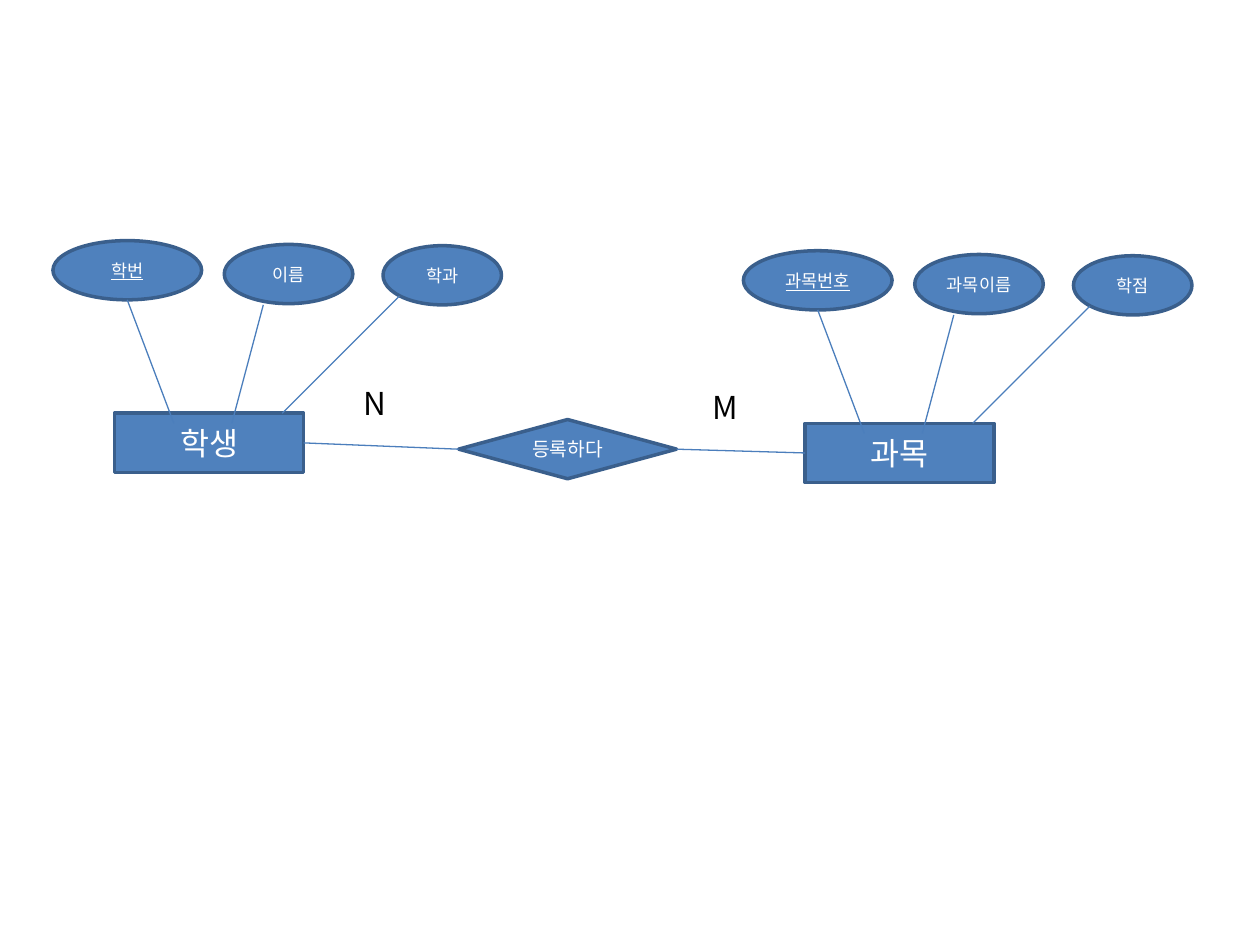
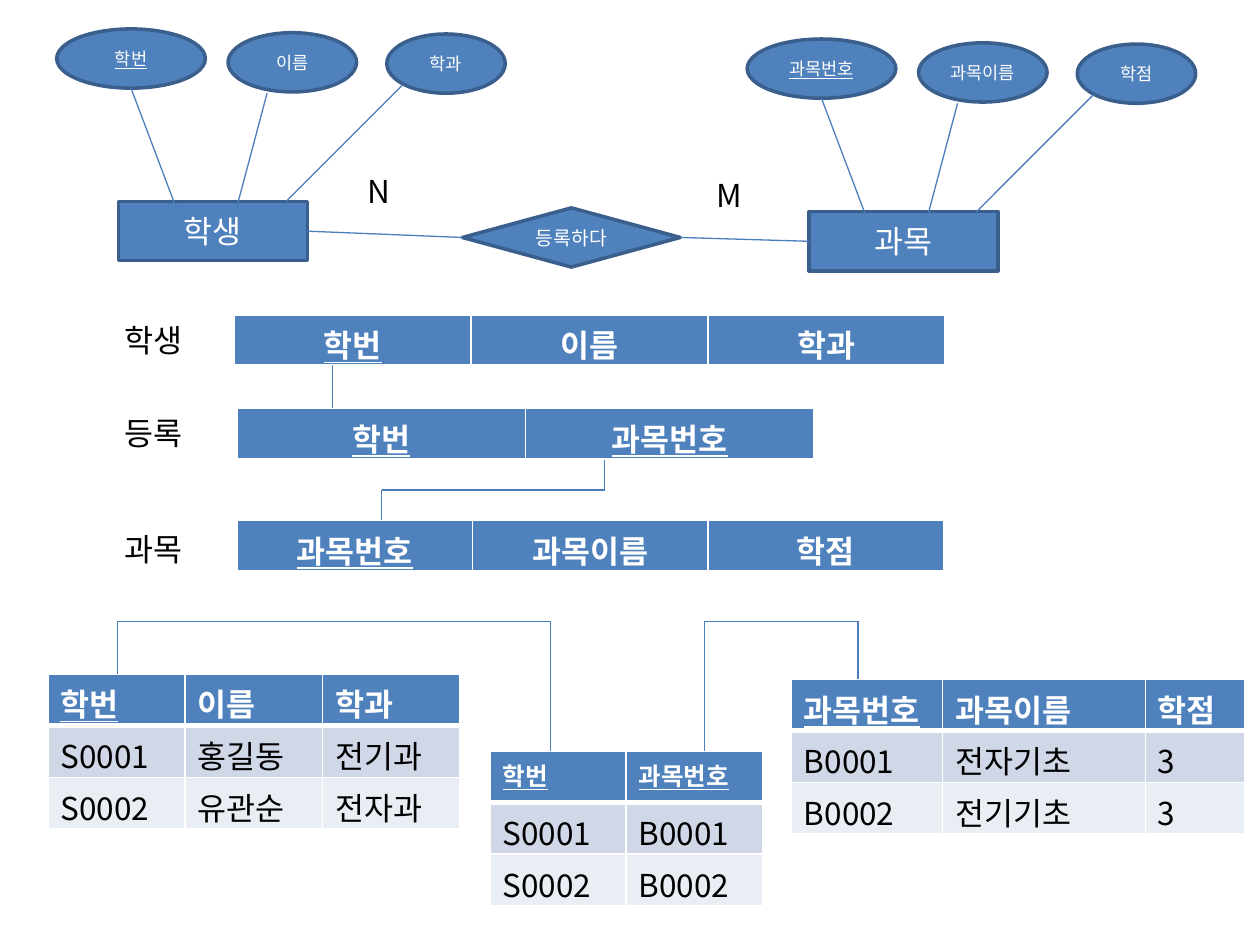
from lxml.etree import SubElement, Element
from pptx import Presentation
from pptx.dml.color import RGBColor
from pptx.enum.shapes import MSO_CONNECTOR, MSO_SHAPE
from pptx.enum.text import MSO_ANCHOR, MSO_AUTO_SIZE, PP_ALIGN
from pptx.oxml.ns import qn
from pptx.util import Inches, Pt

FONT = "Noto Sans CJK KR"
BLUE, OUTLINE, LINK = "4F81BD", "3A5F8C", "4B7EBC"
WHITE, BLACK = "FFFFFF", "000000"
BANDS = ["D0D8E8", "E9EDF4"]
KEYS = {"학번", "과목번호"}

ENTITIES = [
    ("학생", (0.91, 3.28), ["학번", "이름", "학과"]),
    ("과목", (6.39, 3.36), ["과목번호", "과목이름", "학점"]),
]
ENTITY_SIZE = (1.5, 0.47)
ATTRIBUTE_PLACES = [
    {"offset": (-0.49, -1.37), "width": 1.18, "link": ((0.1, -0.9), (0.47, 0.08))},
    {"offset": (0.87, -1.34), "width": 1.02, "link": ((1.18, -0.86), (0.93, 0.08))},
    {"offset": (2.13, -1.33), "width": 0.94, "link": ((2.26, -0.93), (1.33, 0))},
]
RELATIONSHIP = ("등록하다", (3.64, 3.33), (1.73, 0.47))
CARDINALITIES = [("N", (2.79, 3.0)), ("M", (5.56, 3.03))]
DIAGRAM_SHIFTS = [(0, 0), (0.03, -1.68)]

SCHEMAS = [
    ("학생", 2.5, (1.86, 2.5), [1.88] * 3, ["학번", "이름", "학과"]),
    ("등록", 3.24, (1.88, 3.24), [2.29] * 2, ["학번", "과목번호"]),
    ("과목", 4.16, (1.88, 4.13), [1.87] * 3, ["과목번호", "과목이름", "학점"]),
]
RECORDS = [
    ((0.38, 5.35), [1.09] * 3, 18,
     [["학번", "이름", "학과"], ["S0001", "홍길동", "전기과"], ["S0002", "유관순", "전자과"]]),
    ((6.28, 5.39), [1.2, 1.61, 0.79], 18,
     [["과목번호", "과목이름", "학점"], ["B0001", "전자기초", "3"], ["B0002", "전기기초", "3"]]),
    ((3.89, 5.96), [1.08] * 2, 14,
     [["학번", "과목번호"], ["S0001", "B0001"], ["S0002", "B0002"]]),
]
ROW_HEIGHT = 0.41
KEY_PATHS = [
    [(2.64, 2.9), (2.64, 3.24)],
    [(4.8, 3.65), (4.8, 3.89), (3.03, 3.89), (3.03, 4.13)],
    [(0.93, 5.35), (0.93, 4.93), (4.37, 4.93), (4.37, 5.96)],
    [(5.59, 5.96), (5.59, 4.93), (6.81, 4.93), (6.81, 5.39)],
]


def color(value):
    return RGBColor.from_string(value)


def apply(target, **values):
    for name, value in values.items():
        setattr(target, name, value)


def shifted(point, shift):
    return tuple(a + b for a, b in zip(point, shift))


def write(frame, text, size, ink, align=PP_ALIGN.LEFT, **font):
    paragraph = frame.paragraphs[0]
    paragraph.alignment = align
    run = paragraph.add_run()
    run.text = text
    run.font.color.rgb = color(ink)
    apply(run.font, size=Pt(size), name=FONT, **font)
    SubElement(run.font._element, qn("a:ea"), typeface=FONT)


def add_node(slide, kind, text, place, extent, size, underline=False):
    node = slide.shapes.add_shape(kind, *map(Inches, place + extent))
    node.shadow.inherit = False
    node.fill.solid()
    node.fill.fore_color.rgb = color(BLUE)
    node.line.color.rgb = color(OUTLINE)
    node.line.width = Pt(2)
    apply(node.text_frame, word_wrap=False, vertical_anchor=MSO_ANCHOR.MIDDLE)
    write(node.text_frame, text, size, WHITE, PP_ALIGN.CENTER, underline=underline)
    return node


def add_link(slide, start, end):
    link = slide.shapes.add_connector(MSO_CONNECTOR.STRAIGHT, *map(Inches, start + end))
    link.line.color.rgb = color(LINK)
    link.line.width = Pt(0.75)
    SubElement(link._element.spPr, qn("a:effectLst"))
    return link


def add_label(slide, text, place, width):
    label = slide.shapes.add_textbox(*map(Inches, place + (width, 0.4)))
    apply(label.text_frame, word_wrap=True, auto_size=MSO_AUTO_SIZE.SHAPE_TO_FIT_TEXT)
    write(label.text_frame, text, 18, BLACK)


def add_borders(cell, row):
    weights = {"lnL": 1, "lnR": 1, "lnT": 3 if row == 1 else 1, "lnB": 1 if row else 3}
    properties = cell._tc.get_or_add_tcPr()
    for position, (side, weight) in enumerate(weights.items()):
        border = Element(qn(f"a:{side}"), w=str(Pt(weight)))
        SubElement(SubElement(border, qn("a:solidFill")), qn("a:srgbClr"), val=WHITE)
        properties.insert(position, border)


def add_grid(slide, place, widths, rows, header_size=18, header_align=PP_ALIGN.LEFT):
    extent = (sum(widths), ROW_HEIGHT * len(rows))
    grid = slide.shapes.add_table(len(rows), len(widths), *map(Inches, place + extent)).table
    for column, width in zip(grid.columns, widths):
        column.width = Inches(width)
    for r, values in enumerate(rows):
        grid.rows[r].height = Inches(ROW_HEIGHT)
        for c, value in enumerate(values):
            cell = grid.cell(r, c)
            cell.fill.solid()
            cell.fill.fore_color.rgb = color(BANDS[(r - 1) % 2] if r else BLUE)
            add_borders(cell, r)
            if r:
                write(cell.text_frame, value, 18, BLACK, bold=False)
            else:
                write(cell.text_frame, value, header_size, WHITE, header_align,
                      bold=True, underline=value in KEYS)


def add_diagram(slide, shift):
    boxes = []
    for entity, place, attributes in ENTITIES:
        corner = shifted(place, shift)
        boxes.append(add_node(slide, MSO_SHAPE.RECTANGLE, entity, corner, ENTITY_SIZE, 18))
        for attribute, spot in zip(attributes, ATTRIBUTE_PLACES):
            add_node(slide, MSO_SHAPE.OVAL, attribute, shifted(corner, spot["offset"]),
                     (spot["width"], 0.47), 10, attribute in KEYS)
            add_link(slide, *(shifted(corner, end) for end in spot["link"]))
    name, place, extent = RELATIONSHIP
    diamond = add_node(slide, MSO_SHAPE.DIAMOND, name, shifted(place, shift), extent, 11)
    student, course = boxes
    for left, right in [(student, diamond), (diamond, course)]:
        link = add_link(slide, (0, 0), (1, 1))
        link.begin_connect(left, 3)
        link.end_connect(right, 1)
    for cardinality, place in CARDINALITIES:
        add_label(slide, cardinality, shifted(place, shift), 0.31)


def main():
    deck = Presentation()
    deck.slide_width, deck.slide_height = Inches(10), Inches(7.5)
    for shift in DIAGRAM_SHIFTS:
        slide = deck.slides.add_slide(deck.slide_layouts[6])
        add_diagram(slide, shift)
    for relation, label_top, place, widths, columns in SCHEMAS:
        add_label(slide, relation, (0.89, label_top), 0.75)
        add_grid(slide, place, widths, [columns], header_align=PP_ALIGN.CENTER)
    for place, widths, header_size, rows in RECORDS:
        add_grid(slide, place, widths, rows, header_size)
    for points in KEY_PATHS:
        for start, end in zip(points, points[1:]):
            add_link(slide, start, end)
    deck.save("out.pptx")


if __name__ == "__main__":
    main()
